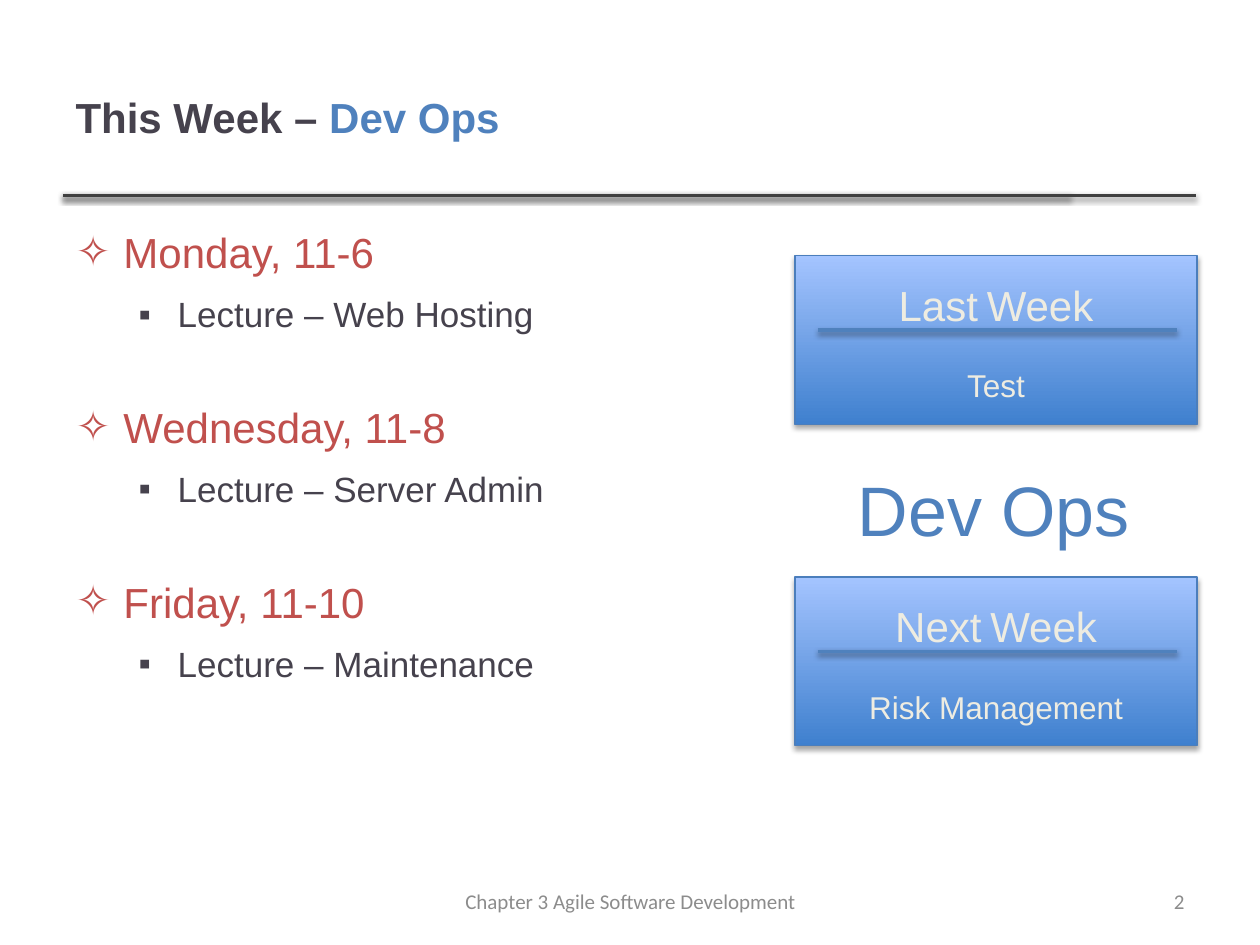
from lxml.etree import SubElement
from pptx import Presentation
from pptx.dml.color import RGBColor
from pptx.enum.shapes import MSO_CONNECTOR, MSO_SHAPE
from pptx.enum.text import MSO_ANCHOR, MSO_AUTO_SIZE, PP_ALIGN
from pptx.oxml.ns import qn
from pptx.util import Inches, Pt

COLORS = {
    "ink": "46424D", "blue": "4F81BD", "red": "C0504D", "rule": "404040",
    "grey": "8C8C8C", "cream": "EEECE1", "edge": "4B7EBC",
    "deep": "3F80CE", "pale": "A4C4FF", "shadow": "000000",
}


def color(name):
    return RGBColor.from_string(COLORS[name])


class SlideBuilder:
    font = "Arial"

    def __init__(self, prs):
        self.slide = prs.slides.add_slide(prs.slide_layouts[1])
        self.shapes = self.slide.shapes

    def place(self, sp, box):
        sp.left, sp.top, sp.width, sp.height = [Inches(v) for v in box]

    def run(self, p, text, size, name, bold=False, font=None):
        r = p.add_run()
        r.text = text
        r.font.size = Pt(size)
        r.font.name = font or self.font
        r.font.bold = bold
        r.font.color.rgb = color(name)

    def shadow(self, sp, alpha, dist):
        sp_pr = sp._element.spPr
        effects = SubElement(sp_pr, qn("a:effectLst"))
        outer = SubElement(effects, qn("a:outerShdw"), blurRad=str(Pt(3.1)),
                           dist=str(Pt(dist)), dir="5400000", rotWithShape="0")
        clr = SubElement(outer, qn("a:srgbClr"), val=COLORS["shadow"])
        SubElement(clr, qn("a:alpha"), val=str(alpha * 1000))

    def line(self, x1, x2, y, name, shapes=None):
        cn = (shapes or self.shapes).add_connector(
            MSO_CONNECTOR.STRAIGHT, Inches(x1), Inches(y), Inches(x2), Inches(y))
        cn.line.color.rgb = color(name)
        cn.line.width = Pt(2)
        self.shadow(cn, 38, 1.6)

    def title(self, box, parts):
        sp = self.shapes.title
        self.place(sp, box)
        tf = sp.text_frame
        tf.auto_size = MSO_AUTO_SIZE.NONE
        tf.vertical_anchor = MSO_ANCHOR.MIDDLE
        p = tf.paragraphs[0]
        p.alignment = PP_ALIGN.LEFT
        for text, name in parts:
            self.run(p, text, 24, name, bold=True)

    def bullet(self, p, text, char, size, name, margin, indent, before, after):
        p.space_before, p.space_after = Pt(before), Pt(after)
        p_pr = p._p.get_or_add_pPr()
        p_pr.set("marL", str(Inches(margin)))
        p_pr.set("indent", str(Inches(-indent)))
        SubElement(p_pr, qn("a:buChar"), char=char)
        self.run(p, text, size, name)

    def agenda(self, box, days):
        sp = self.slide.placeholders[1]
        self.place(sp, box)
        tf = sp.text_frame
        tf.auto_size = MSO_AUTO_SIZE.NONE
        for i, (day, topic) in enumerate(days):
            p = tf.add_paragraph() if i else tf.paragraphs[0]
            self.bullet(p, day, "✧", 24, "red", 0.38, 0.38, 35 if i else 6, 6)
            p = tf.add_paragraph()
            p.level = 1
            self.bullet(p, topic, "▪", 20, "ink", 0.81, 0.31, 3, 3)

    def text(self, box, text, size, name, align=PP_ALIGN.LEFT,
             anchor=MSO_ANCHOR.TOP, font=None, wrap=True):
        sp = self.shapes.add_textbox(*[Inches(v) for v in box])
        tf = sp.text_frame
        tf.word_wrap = wrap
        tf.vertical_anchor = anchor
        p = tf.paragraphs[0]
        p.alignment = align
        self.run(p, text, size, name, font=font)

    def card(self, top, word, topic):
        shapes = self.shapes.add_group_shape().shapes
        sp = shapes.add_shape(MSO_SHAPE.RECTANGLE, Inches(6.31), Inches(top),
                              Inches(3.19), Inches(1.34))
        sp.fill.gradient()
        sp.fill.gradient_angle = 90
        for stop, name, position in zip(sp.fill.gradient_stops, ("deep", "pale"), (0, 1)):
            stop.color.rgb = color(name)
            stop.position = position
        sp.line.color.rgb = color("edge")
        sp.line.width = Pt(0.75)
        self.shadow(sp, 35, 1.8)

        tb = shapes.add_textbox(Inches(6.31), Inches(top + 0.14),
                                Inches(3.19), Inches(1.11))
        tf = tb.text_frame
        tf.word_wrap = True
        p = tf.paragraphs[0]
        p.alignment = PP_ALIGN.CENTER
        for text, size in ((word, 24), (" ", 18), ("Week", 24)):
            self.run(p, text, size, "cream")
        p = tf.add_paragraph()
        p.alignment = PP_ALIGN.CENTER
        p.space_before = Pt(20.7)
        self.run(p, topic, 18, "cream")
        self.line(6.49, 9.34, top + 0.59, "blue", shapes)


def main():
    prs = Presentation()
    prs.slide_width, prs.slide_height = Inches(10), Inches(7.5)
    s = SlideBuilder(prs)
    for end in (8.49, 9.49):
        s.line(0.5, end, 1.55, "rule")
    s.title((0.5, 0.3, 7.98, 1.25), [("This Week – ", "ink"), ("Dev Ops", "blue")])
    s.agenda((0.5, 1.75, 4.91, 4.95), [
        ("Monday, 11-6", "Lecture – Web Hosting"),
        ("Wednesday, 11-8", "Lecture – Server Admin"),
        ("Friday, 11-10", "Lecture – Maintenance"),
    ])
    for box, text, align in (
        ((3.42, 6.95, 3.17, 0.4), "Chapter 3 Agile Software Development", PP_ALIGN.CENTER),
        ((7.17, 6.95, 2.33, 0.4), "2", PP_ALIGN.RIGHT),
    ):
        s.text(box, text, 12, "grey", align, MSO_ANCHOR.MIDDLE, "Calibri")
    s.card(4.58, "Next", "Risk Management")
    s.card(2.03, "Last", "Test")
    s.text((6.71, 3.65, 2.38, 0.77), "Dev Ops", 40, "blue", wrap=False)
    prs.save("out.pptx")


if __name__ == "__main__":
    main()
